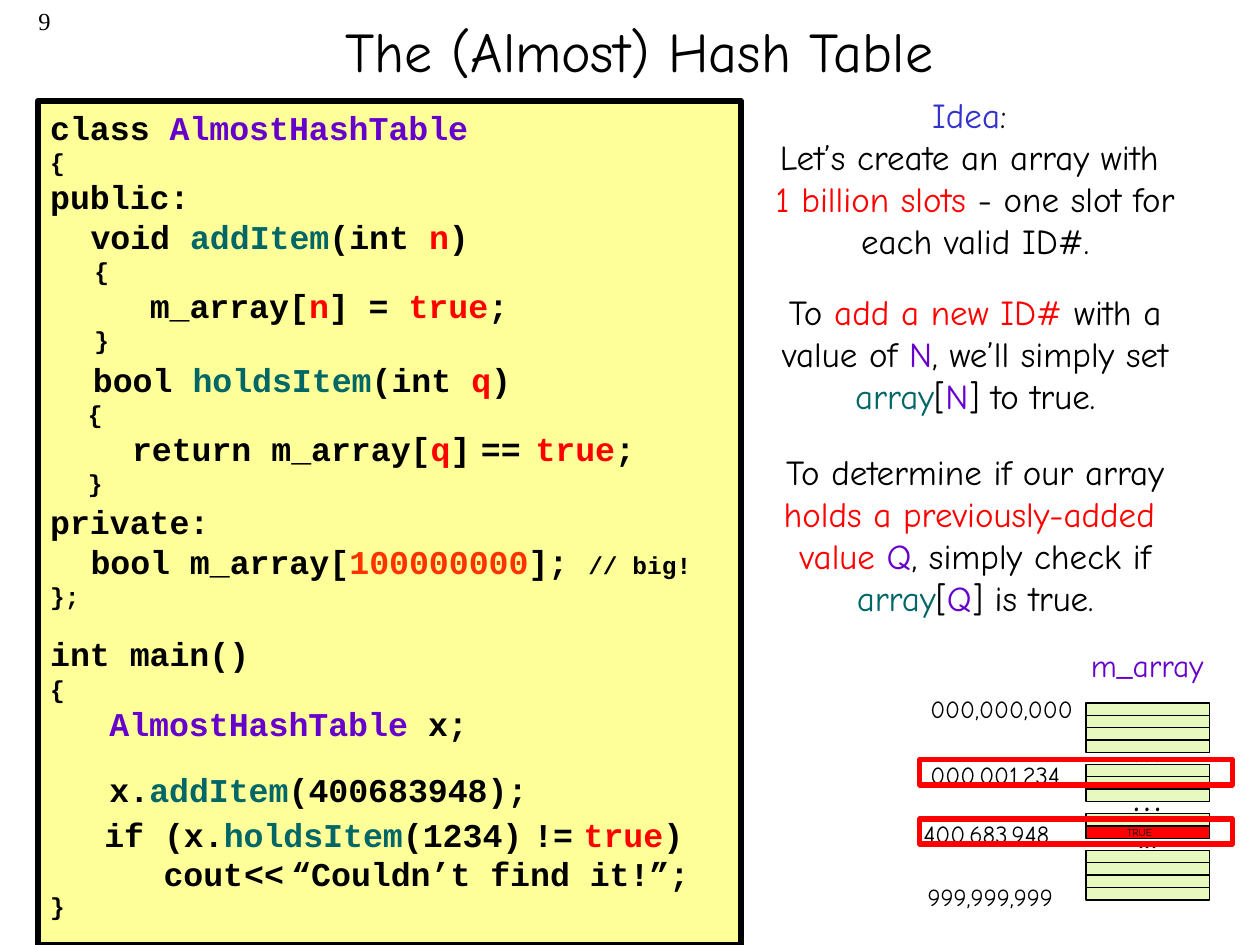
import pptx
import pptx.util
import pptx.dml.color
import pptx.enum.shapes
import pptx.enum.text

Inches = pptx.util.Inches
Pt = pptx.util.Pt
Align = pptx.enum.text.PP_ALIGN
Anchor = pptx.enum.text.MSO_ANCHOR
RECT = pptx.enum.shapes.MSO_SHAPE.RECTANGLE


class Theme:
    black = "000000"
    red = "FF0000"
    orange = "FF3300"
    purple = "6600CC"
    teal = "006666"
    blue = "3333CC"
    paper = "FFFF99"
    slot = "E7F9BF"
    hand = "Comic Neue"
    mono = "Courier New"
    serif = "Times New Roman"
    title = 32
    dots = 24
    body = 20
    code = 19
    head = 18
    small = 14
    tiny = 6


def rgb(code):
    return pptx.dml.color.RGBColor.from_string(code)


def write(frame, lines, face, align=Align.CENTER, bold=False):
    for i, (size, gap, indent, runs) in enumerate(lines):
        para = frame.paragraphs[0] if i == 0 else frame.add_paragraph()
        para.alignment = align
        para.space_before = Pt(gap)
        para.font.name = face
        para.font.size = Pt(size)
        para.font.bold = bold
        para.font.color.rgb = rgb(Theme.black)
        if indent:
            props = para._p.get_or_add_pPr()
            props.set("marL", str(Inches(indent)))
            props.set("indent", "0")
        for item in runs:
            text, color, points = (item, None, None) if isinstance(item, str) else (*item, None)[:3]
            for j, part in enumerate(text.split("\n")):
                if j:
                    para.add_line_break()
                if part:
                    run = para.add_run()
                    run.text = part
                    if color:
                        run.font.color.rgb = rgb(color)
                    if points:
                        run.font.size = Pt(points)


deck = pptx.Presentation()
deck.slide_width, deck.slide_height = Inches(10), Inches(7.5)
slide = deck.slides.add_slide(deck.slide_layouts[6])
shapes = slide.shapes
T = Theme

left, top, wide, high, step = 8.62, 5.58, 0.98, 0.1, 0.0975
marks = {4: "…", 8: "…", 11: "..."}
hit = 10
for row in range(16):
    y = top + row * step
    if row in marks:
        dots = shapes.add_textbox(Inches(left), Inches(y - 0.15), Inches(wide), Inches(0.2))
        dots.text_frame.vertical_anchor = Anchor.MIDDLE
        write(dots.text_frame, [(T.dots, 0, 0, [marks[row]])], T.hand)
        continue
    cell = shapes.add_shape(RECT, Inches(left), Inches(y), Inches(wide), Inches(high))
    cell.shadow.inherit = False
    cell.fill.solid()
    cell.fill.fore_color.rgb = rgb(T.red if row == hit else T.slot)
    cell.line.color.rgb = rgb(T.black)
    cell.line.width = Pt(0.75)
    if row == hit:
        frame = cell.text_frame
        frame.margin_left = frame.margin_top = frame.margin_bottom = 0
        frame.margin_right = Inches(0.13)
        write(frame, [(T.tiny, 0, 0, ["TRUE"])], T.hand)

code = shapes.add_shape(RECT, Inches(0.3), Inches(0.8), Inches(5.58), Inches(6.7))
code.shadow.inherit = False
code.fill.solid()
code.fill.fore_color.rgb = rgb(T.paper)
code.line.color.rgb = rgb(T.black)
code.line.width = Pt(3.25)
code.text_frame.word_wrap = True
code.text_frame.vertical_anchor = Anchor.TOP
write(code.text_frame, [
    (T.code, 0, 0, ["class ", ("AlmostHashTable", T.purple)]),
    (T.small, 0, 0, ["{"]),
    (T.code, 0, 0, ["public:"]),
    (T.code, 0, 0.32, ["void ", ("addItem", T.teal), "(int ", ("n", T.red), ")"]),
    (T.small, 0, 0.35, ["{"]),
    (T.code, 0, 0.79, ["m_array[", ("n", T.red), "] = ", ("true", T.red), ";"]),
    (T.small, 0, 0.35, ["}"]),
    (T.code, 84, 0, ["private:"]),
    (T.code, 0, 0.32, ["bool m_array[", ("100000000", T.orange), "]; ",
                       ("// big!", T.black, T.small)]),
    (T.small, 0, 0, ["};"]),
    (T.code, 13, 0, ["int main()"]),
    (T.small, 0, 0, ["{"]),
    (T.code, 0, 0.47, [("AlmostHashTable ", T.purple), "x;"]),
    (T.code, 15, 0.47, ["x.", ("addItem", T.teal), "(400683948);"]),
    (T.small, 47, 0, ["}"]),
], T.mono, Align.LEFT, True)

blocks = [
    (0.48, 2.8, 5.3, 1.25, T.mono, Align.LEFT, True, [
        (T.code, 0, 0.16, ["bool ", ("holdsItem", T.teal), "(int ", ("q", T.red), ")"]),
        (T.small, 0, 0.12, ["{"]),
        (T.code, 0, 0.47, ["return m_array[", ("q", T.red), "]", (" ", T.black, 10), "==",
                           (" ", T.black, T.small), ("true", T.red), ";"]),
        (T.small, 0, 0.12, ["}"]),
    ]),
    (0.41, 6.41, 5.4, 0.74, T.mono, Align.LEFT, True, [
        (T.code, 0, 0.32, ["if (x.", ("holdsItem", T.teal), "(1234)", (" ", T.black, 10.5),
                           "!=", (" ", T.black, 10), ("true", T.red), ")"]),
        (T.code, 0, 0.79, ["cout", (" ", T.black, 1), "<<", (" ", T.black, 7),
                           "“Couldn’t find it!”;"]),
    ]),
    (5.88, 0.69, 3.72, 4.34, T.hand, Align.CENTER, False, [
        (T.body, 0, 0, [("Idea", T.blue), ": \nLet’s create an array with \n",
                        ("1 billion slots ", T.red), "- one slot for each valid ID#."]),
        (T.body, 17, 0, ["To ", ("add a new ID# ", T.red), "with a value of ",
                         ("N", T.purple), ", we’ll simply set ", ("array", T.teal), "[",
                         ("N", T.purple), "] to true."]),
        (T.body, 19, 0, ["To determine if our array ",
                         ("holds a previously-added \nvalue ", T.red), ("Q", T.purple),
                         ", simply check if ", ("array", T.teal), "[", ("Q", T.purple),
                         "] is true."]),
    ]),
    (0.2, 0, 0.3, 0.5, T.serif, Align.RIGHT, False, [(T.small, 0, 0, ["9"])]),
    (0.46, 0, 9.23, 0.79, T.hand, Align.CENTER, False,
     [(T.title, 0, 0, ["The (Almost) Hash Table"])]),
    (8.33, 5.08, 1.55, 0.49, T.hand, Align.CENTER, False,
     [(T.head, 0, 0, [("m_array", T.purple)])]),
]
labels = [("000,000,000", 7.95, 5.46), ("000,001,234", 7.9, 5.98),
          ("400,683,948", 7.83, 6.45), ("999,999,999", 7.86, 6.95)]
for text, mid, y in labels:
    blocks.append((mid - 0.75, y, 1.5, 0.32, T.hand, Align.CENTER, False,
                   [(T.small, 0, 0, [text])]))
for x, y, w, h, face, align, bold, lines in blocks:
    box = shapes.add_textbox(Inches(x), Inches(y), Inches(w), Inches(h))
    box.text_frame.word_wrap = True
    if face == T.serif:
        box.text_frame.margin_left = 0
    if lines[0][0] == T.title:
        box.text_frame.vertical_anchor = Anchor.MIDDLE
    write(box.text_frame, lines, face, align, bold)

for y in (6.5, 6.03):
    ring = shapes.add_shape(RECT, Inches(7.3), Inches(y), Inches(2.48), Inches(0.2))
    ring.shadow.inherit = False
    ring.fill.background()
    ring.line.color.rgb = rgb(T.red)
    ring.line.width = Pt(3)

deck.save("out.pptx")
